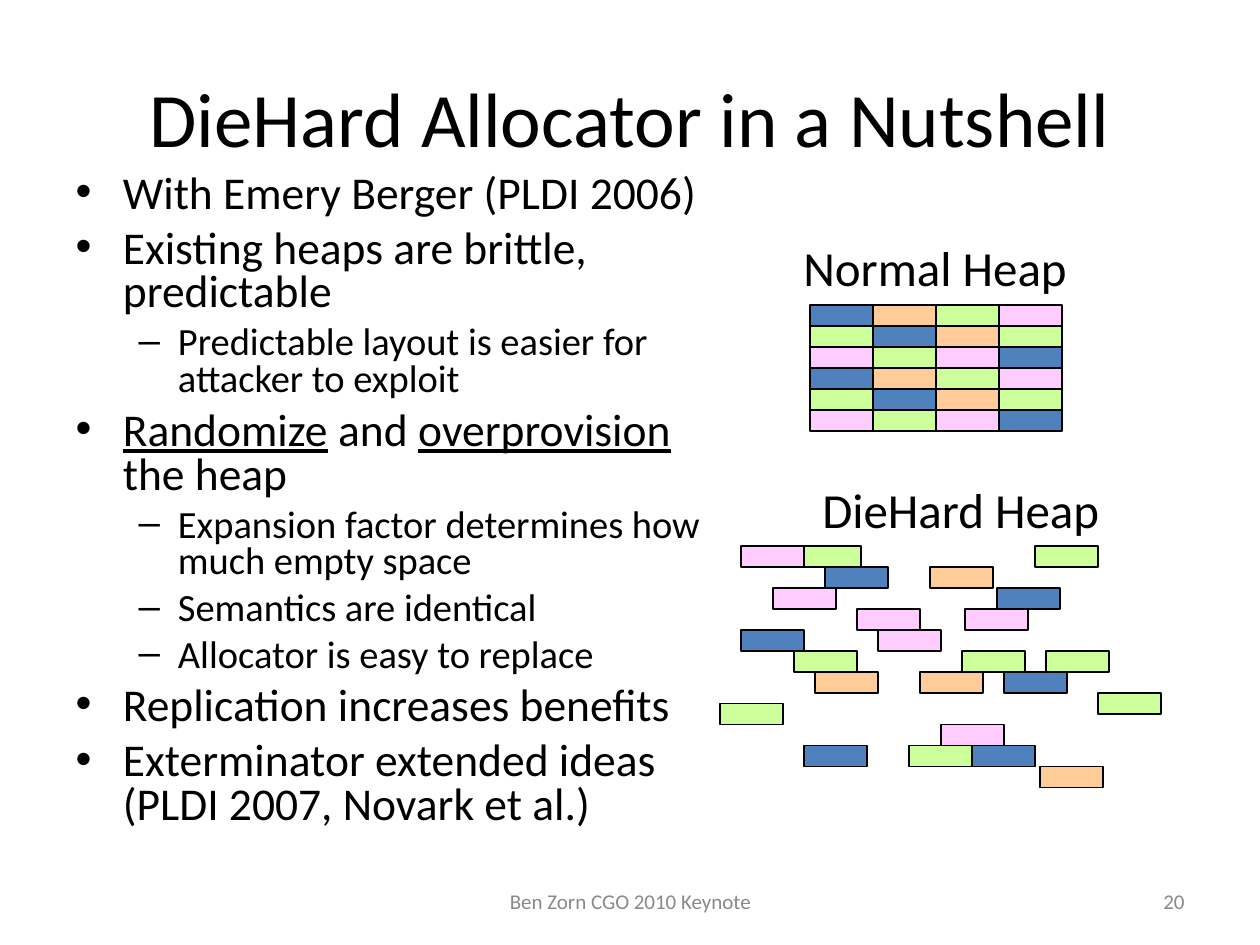
from pptx import Presentation
from pptx import util as u
from pptx.dml.color import RGBColor
from pptx.enum import shapes, text

PX = 914400 / 126  # EMU in one px
FONT = "Calibri"
BLACK = RGBColor(0x00, 0x00, 0x00)
GRAY = RGBColor(0x89, 0x89, 0x89)
FILLS = {
    "B": RGBColor(0x4F, 0x81, 0xBD),
    "O": RGBColor(0xFF, 0xCC, 0x99),
    "G": RGBColor(0xCC, 0xFF, 0x99),
    "P": RGBColor(0xFF, 0xCC, 0xFF),
}
CELL_W, CELL_H = 63, 21

# Level, then runs; a leading underscore marks an underlined run
ITEMS = [
    (0, ["With Emery Berger (PLDI 2006)"]),
    (0, ["Existing heaps are brittle, predictable"]),
    (1, ["Predictable layout is easier for attacker to exploit"]),
    (0, ["_Randomize", " and ", "_overprovision", " the heap"]),
    (1, ["Expansion factor determines how much empty space"]),
    (1, ["Semantics are identical"]),
    (1, ["Allocator is easy to replace"]),
    (0, ["Replication increases benefits"]),
    (0, ["Exterminator extended ideas", "\n", "(PLDI 2007, Novark et al.)"]),
]
LEVELS = [(26, 6.5), (22, 5.5)]  # text size, space before

NORMAL = ["BOGP", "GBOG", "PGPB"] * 2

# Colour, left in px, row (in cell heights), from back to front
DIEHARD = [
    ("B", 825, 1), ("O", 930, 1), ("G", 798, 0), ("P", 741, 0),
    ("G", 794, 5), ("O", 815, 6), ("B", 997, 2), ("G", 1035, 0),
    ("G", 1098, 7), ("P", 857, 3), ("P", 878, 4), ("B", 1004, 6),
    ("B", 741, 4), ("O", 920, 6), ("G", 962, 5), ("P", 965, 3),
    ("G", 720, 7.5), ("O", 1040, 10.5), ("B", 804, 9.5), ("G", 1046, 5),
    ("G", 909, 9.5), ("P", 941, 8.5), ("P", 773, 2), ("B", 972, 9.5),
]


def emu(*lens):
    return [u.Emu(round(n * PX)) for n in lens]


def place(shape, *box):
    shape.left, shape.top, shape.width, shape.height = emu(*box)


def add_run(para, words, size, color=BLACK):
    run = para.add_run()
    run.text = words
    run.font.name = FONT
    run.font.size = u.Pt(size)
    run.font.color.rgb = color
    return run


def add_title(slide, words):
    title = slide.shapes.title
    place(title, 63, 38, 1134, 157)
    frame = title.text_frame
    frame.auto_size = text.MSO_AUTO_SIZE.NONE
    frame.vertical_anchor = text.MSO_ANCHOR.MIDDLE
    para = frame.paragraphs[0]
    para.alignment = text.PP_ALIGN.CENTER
    add_run(para, words, 44)


def add_list(slide, items):
    body = slide.placeholders[1]
    place(body, 63, 168, 658, 724)
    frame = body.text_frame
    frame.auto_size = text.MSO_AUTO_SIZE.NONE
    for i, (level, runs) in enumerate(items):
        para = frame.add_paragraph() if i else frame.paragraphs[0]
        size, gap = LEVELS[level]
        para.level = level
        para.line_spacing = 0.8
        para.space_before = u.Pt(gap if i else 0)
        for words in runs:
            if words == "\n":
                para.add_line_break()
                continue
            run = add_run(para, words.lstrip("_"), size)
            if words.startswith("_"):
                run.font.underline = True


def add_text(parent, words, box, size, color=BLACK, align=None, wrap=True):
    shape = parent.shapes.add_textbox(*emu(*box))
    frame = shape.text_frame
    frame.word_wrap = wrap
    if wrap:
        frame.vertical_anchor = text.MSO_ANCHOR.MIDDLE
    else:
        frame.auto_size = text.MSO_AUTO_SIZE.SHAPE_TO_FIT_TEXT
    para = frame.paragraphs[0]
    para.alignment = align
    add_run(para, words, size, color)


def add_cell(group, key, left, top):
    cell = group.shapes.add_shape(
        shapes.MSO_SHAPE.RECTANGLE, *emu(left, top, CELL_W, CELL_H))
    cell.shadow.inherit = False
    cell.fill.solid()
    cell.fill.fore_color.rgb = FILLS[key]
    cell.line.color.rgb = BLACK
    cell.line.width = u.Pt(0.75)


def add_heap(slide, name, box, top, cells):
    group = slide.shapes.add_group_shape()
    for key, left, row in cells:
        add_cell(group, key, left, top + row * CELL_H)
    add_text(group, name, box, 28, wrap=False)


def main():
    deck = Presentation()
    deck.slide_width, deck.slide_height = emu(1260, 945)
    slide = deck.slides.add_slide(deck.slide_layouts[1])

    # Title and list
    add_title(slide, "DieHard Allocator in a Nutshell")
    add_list(slide, ITEMS)

    # Heaps: a full grid, then scattered cells
    grid = [(key, 810 + col * CELL_W, row)
            for row, keys in enumerate(NORMAL)
            for col, key in enumerate(keys)]
    add_heap(slide, "Normal Heap", (791, 231, 289, 72), 305, grid)
    add_heap(slide, "DieHard Heap", (810, 473, 302, 72), 546, DIEHARD)

    # Footer
    add_text(slide, "20", (903, 876, 294, 50), 12, GRAY, text.PP_ALIGN.RIGHT)
    add_text(slide, "Ben Zorn CGO 2010 Keynote", (431, 876, 399, 50), 12,
             GRAY, text.PP_ALIGN.CENTER)

    deck.save("out.pptx")


if __name__ == "__main__":
    main()
